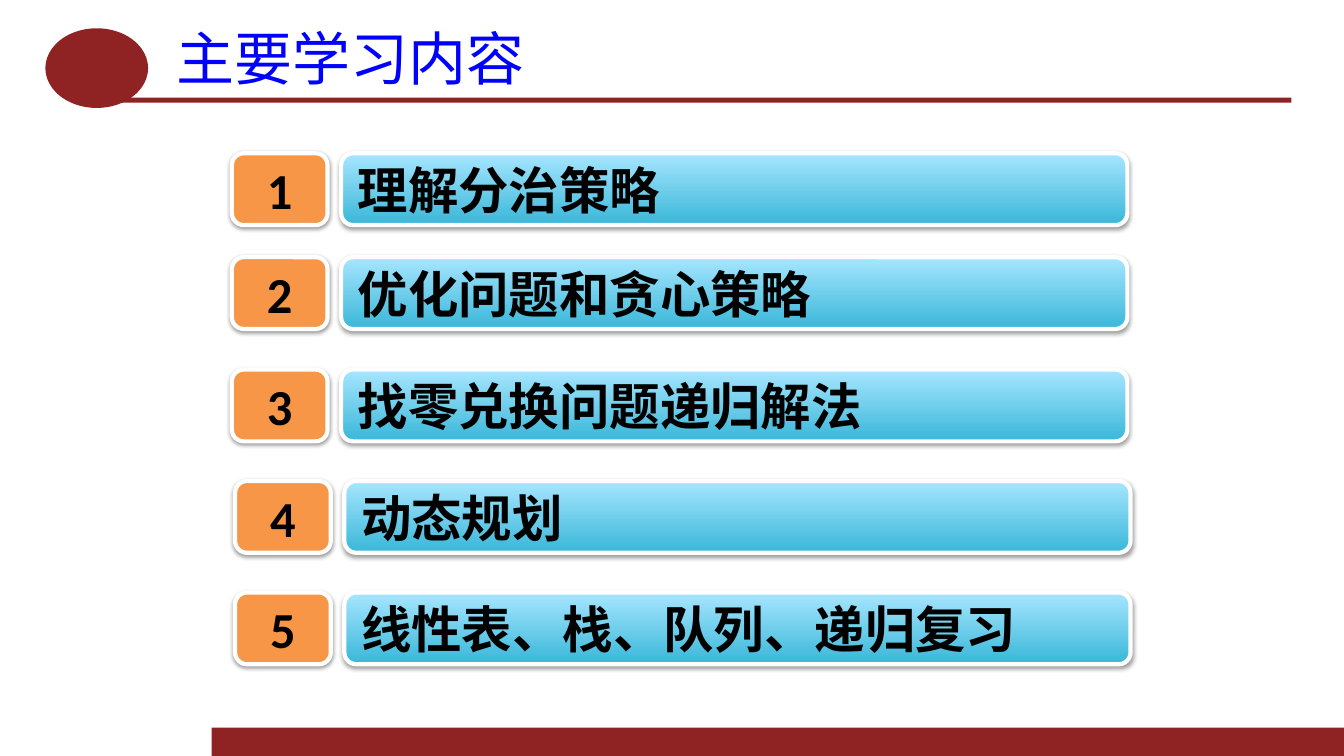
from dataclasses import dataclass

from lxml.etree import SubElement as Sub
from pptx import Presentation
from pptx.dml.color import RGBColor as RGB
from pptx.enum.shapes import MSO_SHAPE as Kind
from pptx.enum.text import MSO_ANCHOR as Anchor, PP_ALIGN as Align
from pptx.oxml.ns import qn
from pptx.util import Pt


@dataclass(frozen=True)
class Theme:
    red: RGB = RGB(0x8F, 0x22, 0x22)
    blue: RGB = RGB(0, 0, 0xFF)
    black: RGB = RGB(0, 0, 0)
    white: RGB = RGB(0xFF, 0xFF, 0xFF)
    orange: RGB = RGB(0xF7, 0x96, 0x46)
    deep: RGB = RGB(0x39, 0xB7, 0xD8)
    pale: RGB = RGB(0xA7, 0xE6, 0xFF)
    latin: str = "Calibri"
    asian: str = "Noto Sans CJK SC"
    title: float = 41.4
    body: float = 36


THEME = Theme()

# left, top, label
TOPICS = [
    (165.6, 109.5, "理解分治策略"),
    (165.6, 183.7, "优化问题和贪心策略"),
    (165.6, 264, "找零兑换问题递归解法"),
    (167.9, 343.6, "动态规划"),
    (167.9, 423.2, "线性表、栈、队列、递归复习"),
]
BADGE, BAR, STEP, HIGH = 68.4, 561.6, 78.1, 51.3


def add_form(slide, kind, *box):
    form = slide.shapes.add_shape(kind, *map(Pt, box))
    form.shadow.inherit = False
    return form


def add_band(slide, kind, *box):
    band = add_form(slide, kind, *box)
    band.fill.solid()
    band.fill.fore_color.rgb = THEME.red
    band.line.fill.background()


def set_text(shape, text, size, color, face, align, bold=False):
    frame = shape.text_frame
    frame.text = text
    frame.word_wrap = True
    frame.vertical_anchor = Anchor.MIDDLE
    frame.margin_left = frame.margin_right = Pt(9.4)
    frame.margin_top = frame.margin_bottom = Pt(4.7)
    line = frame.paragraphs[0]
    line.alignment = align
    font = line.runs[0].font
    font.size, font.bold, font.name = Pt(size), bold, face
    font.color.rgb = color
    Sub(font._element, qn("a:ea"), typeface=THEME.asian)


def add_shade(shape):
    """Put a soft shadow below the shape."""
    effects = shape._element.spPr.find(qn("a:effectLst"))
    shade = Sub(effects, qn("a:outerShdw"), blurRad=str(Pt(3.1)),
                dist=str(Pt(1.6)), dir="5400000", rotWithShape="0")
    color = Sub(shade, qn("a:srgbClr"), val=str(THEME.black))
    Sub(color, qn("a:alpha"), val="38000")


def add_tile(slide, left, top, width, text, align):
    tile = add_form(slide, Kind.ROUNDED_RECTANGLE, left, top, width, HIGH)
    tile.line.color.rgb = THEME.white
    tile.line.width = Pt(3)
    add_shade(tile)
    set_text(tile, text, THEME.body, THEME.black, THEME.latin, align, True)
    return tile


def add_topic(slide, index, left, top, label):
    badge = add_tile(slide, left, top, BADGE, str(index), Align.CENTER)
    badge.fill.solid()
    badge.fill.fore_color.rgb = THEME.orange
    bar = add_tile(slide, left + STEP, top, BAR, label, Align.JUSTIFY)
    bar.fill.gradient()
    bar.fill.gradient_angle = 90
    for stop, color in zip(bar.fill.gradient_stops, (THEME.deep, THEME.pale)):
        stop.color.rgb = color


def add_title(slide, text):
    box = slide.shapes.add_textbox(Pt(116.6), Pt(15.1), Pt(805.7), Pt(51.1))
    set_text(box, text, THEME.title, THEME.blue, THEME.asian, Align.JUSTIFY)


def main():
    deck = Presentation()
    deck.slide_width, deck.slide_height = Pt(960), Pt(540)
    slide = deck.slides.add_slide(deck.slide_layouts[6])
    add_band(slide, Kind.RECTANGLE, 151.2, 519.8, 808.8, 20.2)
    add_band(slide, Kind.RECTANGLE, 85, 69.8, 837.4, 3.6)
    add_band(slide, Kind.OVAL, 32.4, 20.2, 73.4, 56.9)
    add_title(slide, "主要学习内容")
    for index, topic in enumerate(TOPICS, 1):
        add_topic(slide, index, *topic)
    deck.save("out.pptx")


if __name__ == "__main__":
    main()
